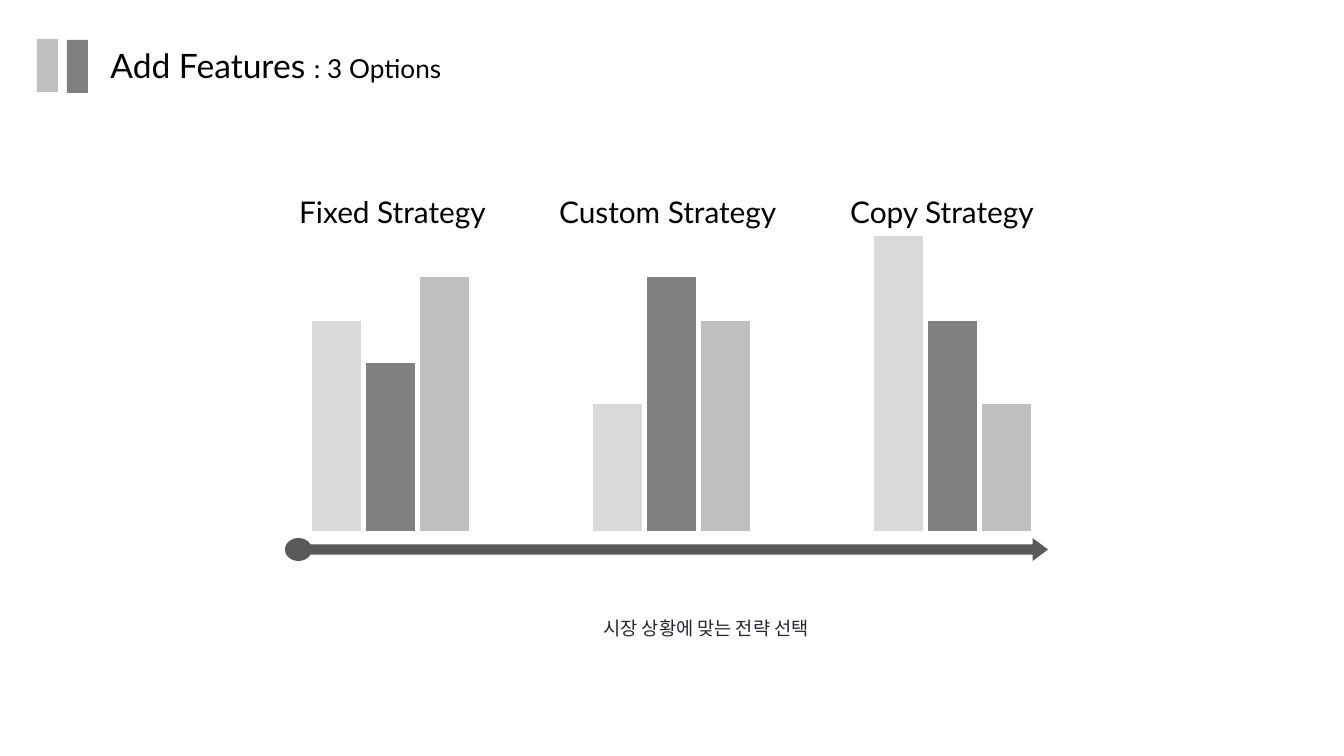
from lxml import etree
from pptx import Presentation
from pptx.chart.data import CategoryChartData
from pptx.dml.color import RGBColor
from pptx.enum.chart import XL_CHART_TYPE
from pptx.enum.shapes import MSO_SHAPE
from pptx.enum.text import MSO_ANCHOR, MSO_AUTO_SIZE, PP_ALIGN
from pptx.oxml import parse_xml
from pptx.oxml.ns import nsdecls, qn
from pptx.util import Emu, Pt

COLUMN = XL_CHART_TYPE.COLUMN_CLUSTERED
RECTANGLE, ELLIPSE, ARROW = MSO_SHAPE.RECTANGLE, MSO_SHAPE.OVAL, MSO_SHAPE.RIGHT_ARROW
LEFT, CENTER = PP_ALIGN.LEFT, PP_ALIGN.CENTER
TOP = MSO_ANCHOR.TOP
GROW = MSO_AUTO_SIZE.SHAPE_TO_FIT_TEXT

LATIN, KOREAN = "Lato", "Noto Sans CJK KR"
BLACK, CAPTION_COLOR, AXIS_COLOR = "000000", "24292F", "595959"

# Content; boxes are left, top, width, height in px
TITLE = [("Add Features ", 18), (": 3 Options", 14)]
TITLE_BOX = (97, 38, 672, 54)
TITLE_BARS = [((37, 39, 21, 53), "BFBFBF"), ((67, 40, 21, 53), "808080")]
STRATEGIES = [
    ("Fixed Strategy", (286, 187, 220, 50)),
    ("Custom Strategy", (546, 187, 254, 50)),
    ("Copy Strategy", (837, 187, 219, 50)),
]
CAPTION = "시장 상황에 맞는 전략 선택"
CAPTION_BOX = (418, 610, 576, 36)
CATEGORIES = ["1", "2", "3"]
SERIES = [
    ("Series 1", (71, 43, 100), "D9D9D9"),
    ("Series 2", (57, 86, 71), "808080"),
    ("Series 3", (86, 71, 43), "BFBFBF"),
]
CHART_BOX = (232, 188, 879, 351)
PLOT_BOX = (250, 236, 843, 295)
ARROW_BOX = (302, 538, 746, 23)
DOT_BOX = (285, 538, 27, 23)


def px(value):
    return Emu(round(value * 914400 / 134.4))


def box_lengths(box):
    return [px(value) for value in box]


def color(value):
    return RGBColor.from_string(value)


def write_text(shape, runs, font=LATIN, fill=BLACK, align=LEFT, wrap=True):
    frame = shape.text_frame
    frame.word_wrap = wrap
    frame.auto_size = GROW
    frame.vertical_anchor = TOP
    paragraph = frame.paragraphs[0]
    paragraph.alignment = align
    for text, size in runs:
        run = paragraph.add_run()
        run.text = text
        run.font.size = Pt(size)
        run.font.color.rgb = color(fill)
        run.font.name = font
        east_asian = etree.SubElement(run.font._element, qn("a:ea"))
        east_asian.set("typeface", font)


def add_shape(shapes, kind, box, fill):
    shape = shapes.add_shape(kind, *box_lengths(box))
    shape.shadow.inherit = False
    shape.fill.solid()
    shape.fill.fore_color.rgb = color(fill)
    shape.line.fill.background()
    return shape


def add_strategy_chart(slide):
    data = CategoryChartData()
    data.categories = CATEGORIES
    for name, values, _ in SERIES:
        data.add_series(name, values)
    chart = slide.shapes.add_chart(COLUMN, *box_lengths(CHART_BOX), data).chart
    chart.has_legend = False
    chart.has_title = False
    chart.font.size = Pt(10)
    chart.font.name = KOREAN
    chart.font.color.rgb = color(BLACK)
    chart.category_axis.visible = False
    chart.value_axis.visible = False
    chart.value_axis.has_major_gridlines = False
    chart.value_axis.minimum_scale = 0
    chart.value_axis.maximum_scale = 100

    plot = chart.plots[0]
    plot.gap_width = 250
    plot.overlap = -9
    plot.vary_by_categories = False
    for series, (_, _, fill) in zip(plot.series, SERIES):
        series.format.fill.solid()
        series.format.fill.fore_color.rgb = color(fill)

    # Fix the plot area as fractions of the chart
    left, top, width, height = CHART_BOX
    plot_left, plot_top, plot_width, plot_height = PLOT_BOX
    fractions = {
        "x": (plot_left - left) / width,
        "y": (plot_top - top) / height,
        "w": plot_width / width,
        "h": plot_height / height,
    }
    parts = '<c:layoutTarget val="inner"/><c:xMode val="edge"/><c:yMode val="edge"/>'
    parts += "".join(f'<c:{key} val="{value:.4f}"/>' for key, value in fractions.items())
    layout = parse_xml(
        f'<c:layout {nsdecls("c")}><c:manualLayout>{parts}</c:manualLayout></c:layout>')
    plot_area = chart._chartSpace.chart.plotArea
    for old_layout in plot_area.findall(qn("c:layout")):
        plot_area.remove(old_layout)
    plot_area.insert(0, layout)


def main():
    presentation = Presentation()
    presentation.slide_width, presentation.slide_height = px(1344), px(756)
    slide = presentation.slides.add_slide(presentation.slide_layouts[5])

    # Title with its two bars
    title = slide.shapes.title
    title.left, title.top, title.width, title.height = box_lengths(TITLE_BOX)
    write_text(title, TITLE)

    add_strategy_chart(slide)

    # Timeline arrow with a starting dot
    timeline = slide.shapes.add_group_shape()
    arrow = add_shape(timeline.shapes, ARROW, ARROW_BOX, AXIS_COLOR)
    arrow.adjustments[0], arrow.adjustments[1] = 0.45, 0.67
    add_shape(timeline.shapes, ELLIPSE, DOT_BOX, AXIS_COLOR)

    for box, fill in TITLE_BARS:
        add_shape(slide.shapes, RECTANGLE, box, fill)

    # Strategy names and caption
    for name, box in STRATEGIES:
        label = slide.shapes.add_textbox(*box_lengths(box))
        write_text(label, [(name, 16)], wrap=False)
    caption = slide.shapes.add_textbox(*box_lengths(CAPTION_BOX))
    write_text(caption, [(CAPTION, 10)], font=KOREAN, fill=CAPTION_COLOR, align=CENTER)

    presentation.save("out.pptx")


if __name__ == "__main__":
    main()
